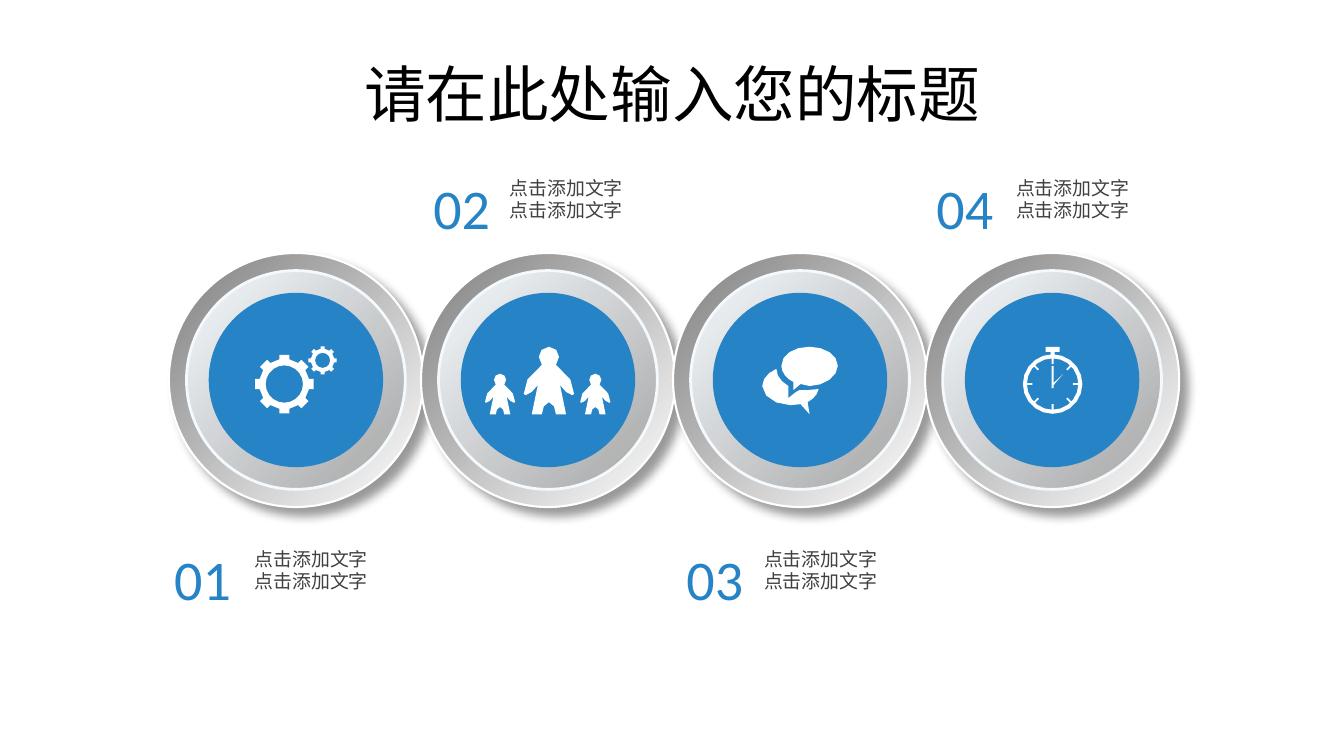
from math import cos, sin, pi
from lxml.etree import SubElement as Sub
from pptx import Presentation as Deck
from pptx.dml.color import RGBColor as Rgb
from pptx.enum.shapes import MSO_SHAPE as Kind
from pptx.enum.text import MSO_ANCHOR as Anchor, MSO_AUTO_SIZE as Fit, PP_ALIGN as Align
from pptx.oxml.ns import qn
from pptx.util import Inches, Pt


class Theme:
    blue, white, black, text = "2683C6", "FFFFFF", "000000", "404040"
    rim, rim_line = ("FFFFFF", "808080"), "FFFFFF"
    bowl, bowl_line = ("F4F9FD", "A6A6A6"), "F4F9FD"
    latin, han = "Calibri", "Noto Sans CJK SC"
    title, count, body = 44, 40, 13.5


# Slide grid: all columns and rows are a hundredth of an inch
UNIT = Inches(0.01)
WIDE, HIGH = 1333, 750
FIRST, STEP, MID = 293.5, 250, 377
UPPER, LOWER = 167, 535

# Number, its column, the text's column, the row
LABELS = [("01", 163, 243, LOWER), ("02", 420, 496, UPPER),
          ("03", 671, 748, LOWER), ("04", 919, 998, UPPER)]


def grid(*cells):
    return [int(cell * UNIT) for cell in cells]


# Outlines: lists of points in grid units around the ring's centre
def disc(x, y, r, n=20):
    return [(x + r * cos(2 * pi * k / n), y + r * sin(2 * pi * k / n)) for k in range(n)]


def turn(x, y, pts, n=8):
    """Place the points n times around x, y; one list per turn."""
    turns = [(cos(2 * pi * k / n), sin(2 * pi * k / n)) for k in range(n)]
    return [[(x + a * c - b * s, y + a * s + b * c) for a, b in pts] for c, s in turns]


def curve(n, start, *parts):
    """Points along a chain of lines (2 numbers) and cubic curves (6 numbers)."""
    pts = [start]
    for part in parts:
        if len(part) == 2:
            pts.append(part)
            continue
        a, b, c, d = pts[-1], part[:2], part[2:4], part[4:]
        for k in range(1, n + 1):
            t = k / n
            u = 1 - t
            pts.append(tuple(u**3 * a[i] + 3 * u * u * t * b[i] + 3 * u * t * t * c[i]
                             + t**3 * d[i] for i in (0, 1)))
    return pts


def box(left, top, right, low):
    return [(left, top), (right, top), (right, low), (left, low)]


def gear(x, y, tip, root, hole, half, n):
    tooth = [(root, -half), (tip, -half), (tip, half), (root, half)]
    return [sum(turn(x, y, tooth), []), disc(x, y, hole, n)]


def human(x, size):
    side = curve(2, (0, -67), (6, -67, 10, -62, 10, -57), (7, -49),
                 (17, -45, 29, -24, 25, -20), (23, -19),
                 (19, -19, 15, -24, 11, -29), (17, 0),
                 (7, 0), (7, -5, 4, -12, 0, -12))
    whole = side + [(-a, b) for a, b in side[-2:0:-1]]
    return [(x + a * size, 34 + b * size) for a, b in whole]


def gears():
    return gear(-11.5, 4, 29, 24.5, 18.5, 5, 20) + gear(26.5, -19.5, 14, 11.5, 7.5, 2, 12)


def people():
    return [human(-47.5, 0.6), human(1, 1), human(47, 0.6)]


def talk():
    back = curve(3, (-0.5, 10), (-2.5, 10, -11.5, 18, -11.5, 18), (-11.5, 6),
                 (-18.5, 2, -23.5, -4, -23.5, -11), (-31.5, -8, -37.5, -1, -37.5, 6),
                 (-37.5, 16, -24.5, 25, -9.5, 25), (0.5, 24),
                 (9.5, 34), (7.5, 22), (13.5, 19, 17.5, 14, 18.5, 9), (7.5, 10))
    front = curve(4, (9.5, -33), (-6.5, -33, -18.5, -25, -18.5, -14),
                  (-18.5, -8, -13.5, -1, -6.5, 2), (-6.5, 10), (0.5, 4), (9.5, 6),
                  (24.5, 6, 37.5, -4, 37.5, -14), (37.5, -25, 24.5, -33, 9.5, -33))
    return [back, front[:-1]]


def watch():
    ticks = turn(0.5, 4, box(20, -0.9, 25.5, 0.9))
    hands = [box(-0.5, -14, 1.5, 8), [(1.5, 3), (11, -6), (1.5, 5)]]
    crown = [box(-6.5, -33, 7.5, -28), box(-1.5, -28, 2.5, -25.4)]
    return [disc(0.5, 4, 29.5), disc(0.5, 4, 25.5)] + ticks + hands + crown


# Drawing
def paint(shape, fill, line=None, width=0, angle=0):
    shape.shadow.inherit = False
    if isinstance(fill, tuple):
        shape.fill.gradient()
        shape.fill.gradient_angle = angle
        for stop, tone in zip(shape.fill.gradient_stops, fill):
            stop.color.rgb = Rgb.from_string(tone)
    else:
        shape.fill.solid()
        shape.fill.fore_color.rgb = Rgb.from_string(fill)
    if line:
        shape.line.color.rgb = Rgb.from_string(line)
        shape.line.width = Pt(width)
    else:
        shape.line.fill.background()


def shade(shape):
    glow = Sub(shape._element.spPr.find(qn("a:effectLst")), qn("a:outerShdw"),
               blurRad=str(Pt(7)), dist=str(Pt(8)), dir="2700000", algn="tl", rotWithShape="0")
    tone = Sub(glow, qn("a:srgbClr"), val=Theme.black)
    Sub(tone, qn("a:alpha"), val="40000")


def ring(slide, x, y, icon):
    group = slide.shapes.add_group_shape().shapes

    def round_part(d, *look):
        shape = group.add_shape(Kind.OVAL, *grid(x - d / 2, y - d / 2, d, d))
        paint(shape, *look)
        return shape

    shade(round_part(252, Theme.rim, Theme.rim_line, 1.5, 135))
    round_part(217, Theme.bowl, Theme.bowl_line, 2, 315)
    round_part(173, Theme.blue)

    # Icon: one shape with all its outlines
    pen = None
    for line in icon():
        pts = [grid(x + a, y + b) for a, b in line]
        if pen:
            pen.move_to(*pts[0])
        else:
            pen = group.build_freeform(*pts[0], scale=1.0)
        pen.add_line_segments(pts[1:], close=True)
    paint(pen.convert_to_shape(), Theme.white)


def write(slide, text, cells, size, tone, font, wrap=False):
    frame = slide.shapes.add_textbox(*grid(*cells)).text_frame
    frame.text = text
    frame.word_wrap = wrap
    frame.auto_size = Fit.NONE if wrap else Fit.SHAPE_TO_FIT_TEXT
    for para in frame.paragraphs:
        for run in para.runs:
            run.font.size = Pt(size)
            run.font.name = font
            run.font.color.rgb = Rgb.from_string(tone)
            Sub(run.font._element, qn("a:ea"), typeface=Theme.han)
    return frame


def main():
    deck = Deck()
    deck.slide_width, deck.slide_height = grid(WIDE, HIGH)
    slide = deck.slides.add_slide(deck.slide_layouts[6])

    # Rings
    for k, icon in enumerate((gears, people, talk, watch)):
        ring(slide, FIRST + k * STEP, MID, icon)

    # Labels
    for num, left, start, top in LABELS:
        write(slide, "点击添加文字\n点击添加文字", (start, top + 3, 134, 56),
              Theme.body, Theme.text, Theme.han)
        write(slide, num, (left, top, 77, 77), Theme.count, Theme.blue, Theme.latin)

    # Title
    head = write(slide, "请在此处输入您的标题", (67, 30, 1200, 125),
                 Theme.title, Theme.black, Theme.latin, True)
    head.vertical_anchor = Anchor.MIDDLE
    head.paragraphs[0].alignment = Align.CENTER

    deck.save("out.pptx")


if __name__ == "__main__":
    main()
